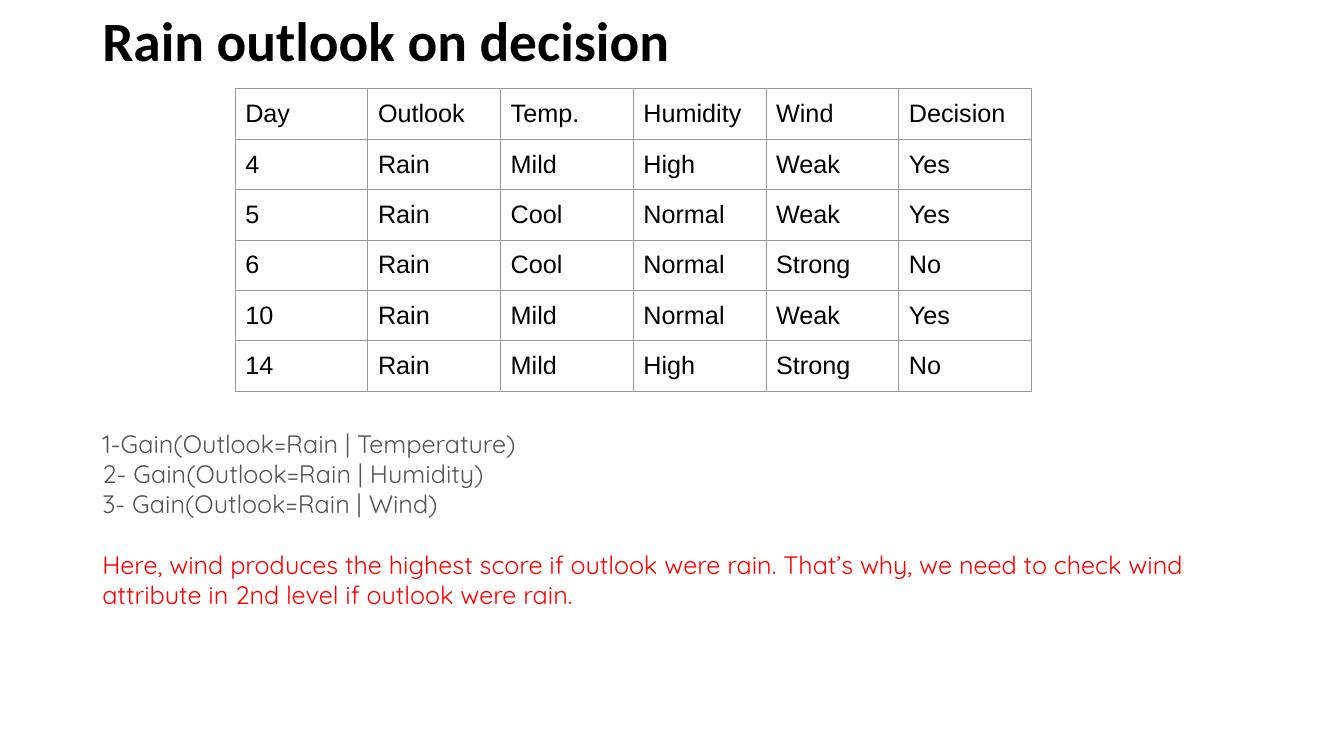
from dataclasses import dataclass

from lxml import etree
from pptx import Presentation
from pptx.dml.color import RGBColor
from pptx.enum.text import MSO_ANCHOR
from pptx.oxml.ns import qn
from pptx.slide import Slide
from pptx.table import _Cell
from pptx.text.text import _Paragraph
from pptx.util import Inches, Pt

MIDDLE = MSO_ANCHOR.MIDDLE
TOP = MSO_ANCHOR.TOP

SLIDE_WIDTH = Inches(13.333)
SLIDE_HEIGHT = Inches(7.5)
COLUMN = SLIDE_WIDTH / 160
ROW = SLIDE_HEIGHT / 90
MARGIN_COLUMN = 11
TEXT_COLUMNS = 138
CELL_COLUMNS = 15.8
CELL_ROWS = 5.86
CELL_MARGIN = Inches(0.1)

BLACK = "000000"
WHITE = "FFFFFF"
GRAY = "555555"
RED = "FF0000"
BORDER = "999999"

DAYS = (
    ("Day", "Outlook", "Temp.", "Humidity", "Wind", "Decision"),
    ("4", "Rain", "Mild", "High", "Weak", "Yes"),
    ("5", "Rain", "Cool", "Normal", "Weak", "Yes"),
    ("6", "Rain", "Cool", "Normal", "Strong", "No"),
    ("10", "Rain", "Mild", "Normal", "Weak", "Yes"),
    ("14", "Rain", "Mild", "High", "Strong", "No"),
)


@dataclass(frozen=True)
class Line:
    text: str
    font: str
    size: float
    color: str
    bold: bool = False
    spacing: float = 1.0
    space_before: float = 0


@dataclass(frozen=True)
class TextBlock:
    row: float
    rows: float
    anchor: MSO_ANCHOR
    lines: tuple[Line, ...]


TEXT_BLOCKS = (
    TextBlock(1.2, 8, MIDDLE, (
        Line("Rain outlook on decision", "Calibri", 39.6, BLACK, True, 0.9),
    )),
    TextBlock(50.4, 23, TOP, (
        Line("1-Gain(Outlook=Rain | Temperature)", "Quicksand", 18, GRAY),
        Line("2- Gain(Outlook=Rain | Humidity)", "Quicksand", 18, GRAY),
        Line("3- Gain(Outlook=Rain | Wind)", "Quicksand", 18, GRAY),
        Line(
            "Here, wind produces the highest score if outlook were rain. "
            "That’s why, we need to check wind attribute in 2nd level "
            "if outlook were rain.",
            "Quicksand", 18, RED, space_before=21.6,
        ),
    )),
)


def rgb(color: str) -> RGBColor:
    return RGBColor.from_string(color)


def columns(count: float) -> int:
    return round(count * COLUMN)


def rows(count: float) -> int:
    return round(count * ROW)


def write_line(paragraph: _Paragraph, line: Line) -> None:
    paragraph.line_spacing = line.spacing
    if line.space_before:
        paragraph.space_before = Pt(line.space_before)
    run = paragraph.add_run()
    run.text = line.text
    run.font.name = line.font
    run.font.size = Pt(line.size)
    run.font.bold = line.bold
    run.font.color.rgb = rgb(line.color)


def draw_text(slide: Slide, block: TextBlock) -> None:
    shape = slide.shapes.add_textbox(
        columns(MARGIN_COLUMN), rows(block.row),
        columns(TEXT_COLUMNS), rows(block.rows),
    )
    frame = shape.text_frame
    frame.word_wrap = True
    frame.vertical_anchor = block.anchor
    for index, line in enumerate(block.lines):
        paragraph = frame.add_paragraph() if index else frame.paragraphs[0]
        write_line(paragraph, line)


def add_borders(cell: _Cell) -> None:
    properties = cell._tc.get_or_add_tcPr()
    for index, side in enumerate(("a:lnL", "a:lnR", "a:lnT", "a:lnB")):
        border = etree.Element(qn(side), w=str(Pt(0.75)))
        fill = etree.SubElement(border, qn("a:solidFill"))
        etree.SubElement(fill, qn("a:srgbClr"), val=BORDER)
        properties.insert(index, border)


def draw_cell(cell: _Cell, text: str) -> None:
    cell.margin_left = cell.margin_right = CELL_MARGIN
    cell.margin_top = cell.margin_bottom = CELL_MARGIN
    cell.vertical_anchor = MIDDLE
    cell.fill.solid()
    cell.fill.fore_color.rgb = rgb(WHITE)
    add_borders(cell)
    write_line(cell.text_frame.paragraphs[0], Line(text, "Arial", 18, BLACK))


def draw_table(slide: Slide) -> None:
    row_count, column_count = len(DAYS), len(DAYS[0])
    table = slide.shapes.add_table(
        row_count, column_count, columns(28), rows(10.56),
        columns(CELL_COLUMNS * column_count), rows(CELL_ROWS * row_count),
    ).table
    table.first_row = False
    table.horz_banding = False
    for row_index, day in enumerate(DAYS):
        for column_index, text in enumerate(day):
            draw_cell(table.cell(row_index, column_index), text)


def main() -> None:
    presentation = Presentation()
    presentation.slide_width = SLIDE_WIDTH
    presentation.slide_height = SLIDE_HEIGHT
    slide = presentation.slides.add_slide(presentation.slide_layouts[6])
    title, notes = TEXT_BLOCKS
    draw_text(slide, title)
    draw_table(slide)
    draw_text(slide, notes)
    presentation.save("out.pptx")


if __name__ == "__main__":
    main()
